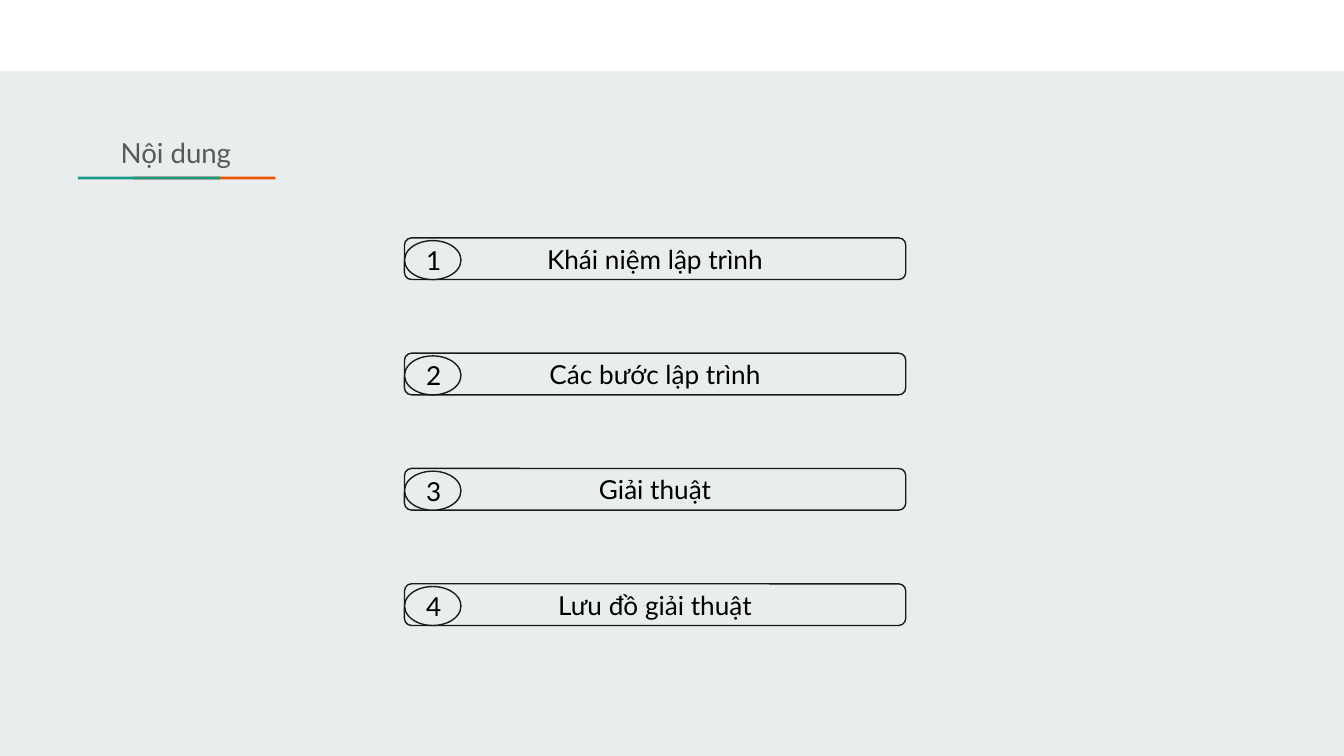
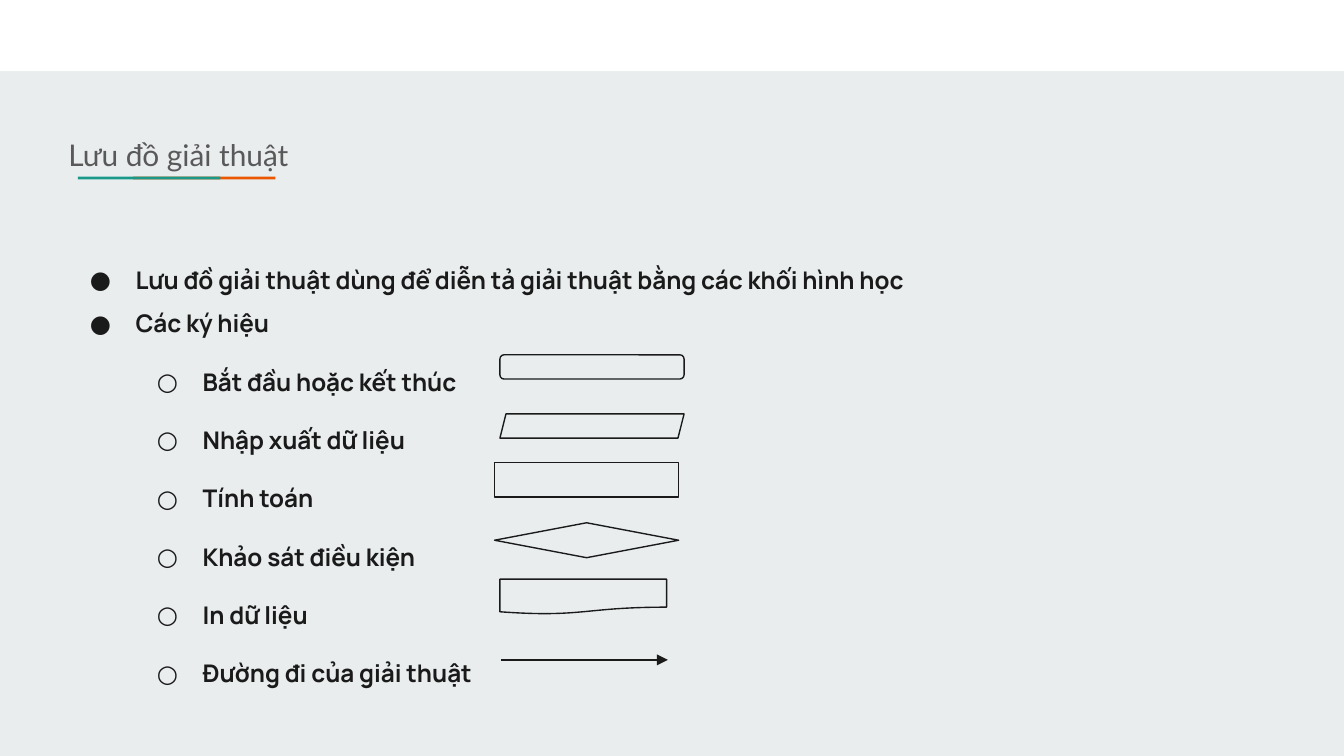
from dataclasses import dataclass

from lxml import etree
from pptx import Presentation
from pptx.dml.color import RGBColor
from pptx.enum.shapes import MSO_CONNECTOR, MSO_SHAPE
from pptx.enum.text import MSO_ANCHOR, PP_ALIGN
from pptx.oxml.ns import qn
from pptx.util import Inches, Pt

RECT, ROUND = MSO_SHAPE.RECTANGLE, MSO_SHAPE.ROUNDED_RECTANGLE
OVAL, DIAMOND = MSO_SHAPE.OVAL, MSO_SHAPE.DIAMOND
SLANTED, DOCUMENT = MSO_SHAPE.PARALLELOGRAM, MSO_SHAPE.FLOWCHART_DOCUMENT
STRAIGHT = MSO_CONNECTOR.STRAIGHT
LEFT, CENTER, JUSTIFY = PP_ALIGN.LEFT, PP_ALIGN.CENTER, PP_ALIGN.JUSTIFY
TOP, MIDDLE = MSO_ANCHOR.TOP, MSO_ANCHOR.MIDDLE
COLUMNS = 100


@dataclass(frozen=True)
class Theme:
    """Colours, fonts and type sizes of the deck."""
    paper: str = "E9EDEE"
    band: str = "FFFFFF"
    teal: str = "1A9988"
    orange: str = "EB5600"
    ink: str = "1A1A1A"
    label: str = "000000"
    title: str = "595959"
    font: str = "Lato"
    body_font: str = "Manrope"
    label_size: float = 14
    body_size: float = 13
    line_width: float = 0.75
    inset: float = 0.1


class Deck:
    """Draws styled elements on the current slide, measured in square grid cells."""

    def __init__(self, theme):
        self.theme = theme
        self.prs = Presentation()
        self.prs.slide_width = Inches(10)
        self.prs.slide_height = self.prs.slide_width * 9 // 16
        self.cell = self.prs.slide_width // COLUMNS
        self.s = None

    def grid(self, *cells):
        """Convert grid cells to lengths."""
        return [round(c * self.cell) for c in cells]

    def slide(self, title, box, size):
        """Start a slide with its band, title and underline."""
        t = self.theme
        self.s = self.prs.slides.add_slide(self.prs.slide_layouts[6])
        fill = self.s.background.fill
        fill.solid()
        fill.fore_color.rgb = RGBColor.from_string(t.paper)
        self.shape(RECT, (0, 0, COLUMNS, 5.3), t.band, outlined=False)
        for left, color in ((9.9, t.orange), (5.8, t.teal)):
            self.shape(RECT, (left, 13.15, 10.6, 0.2), color, outlined=False)
        sp = self.s.shapes.add_textbox(*self.grid(*box))
        self.set_text(sp.text_frame, [title], size, t.title, t.font, wrap=False)

    def shape(self, kind, box, fill=None, outlined=True, text=None, adj=None):
        """Add a preset shape, with a centred label if there is one."""
        t = self.theme
        sp = self.s.shapes.add_shape(kind, *self.grid(*box))
        sp.shadow.inherit = False
        sp.fill.solid()
        sp.fill.fore_color.rgb = RGBColor.from_string(fill or t.paper)
        if outlined:
            sp.line.color.rgb = RGBColor.from_string(t.ink)
            sp.line.width = Pt(t.line_width)
        else:
            sp.line.fill.background()
        if adj is not None:
            sp.adjustments[0] = adj
        if text:
            self.set_text(sp.text_frame, [text], t.label_size, t.label, t.font,
                          CENTER, MIDDLE)

    def set_text(self, tf, lines, size, color, font, align=LEFT, anchor=TOP,
                 bold=False, wrap=True):
        """Fill a text frame with one paragraph per line."""
        tf.word_wrap = wrap
        tf.vertical_anchor = anchor
        tf.margin_left = tf.margin_right = Inches(self.theme.inset)
        tf.margin_top = tf.margin_bottom = Inches(self.theme.inset)
        tf.text = "\n".join(lines)
        for p in tf.paragraphs:
            p.alignment = align
            for r in p.runs:
                r.font.size, r.font.name, r.font.bold = Pt(size), font, bold
                r.font.color.rgb = RGBColor.from_string(color)

    def bullets(self, box, items):
        """Add a two-level bulleted list from (level, text) pairs."""
        t = self.theme
        tf = self.s.shapes.add_textbox(*self.grid(*box)).text_frame
        self.set_text(tf, [text for _, text in items], t.body_size, t.ink,
                      t.body_font, JUSTIFY, MIDDLE, bold=True)
        for p, (level, _) in zip(tf.paragraphs, items):
            p.level = level
            p.line_spacing = (1.5, 2.0)[level]
            pPr = p._p.get_or_add_pPr()
            pPr.set("marL", str(Inches(0.5 * (level + 1))))
            pPr.set("indent", str(Inches(-0.34)))
            clr = etree.SubElement(pPr, qn("a:buClr"))
            etree.SubElement(clr, qn("a:srgbClr"), val=t.ink)
            etree.SubElement(pPr, qn("a:buFont"), typeface=t.body_font)
            etree.SubElement(pPr, qn("a:buChar"), char="●○"[level])

    def arrow(self, x1, y1, x2, y2):
        """Add a straight arrow."""
        c = self.s.shapes.add_connector(STRAIGHT, *self.grid(x1, y1, x2, y2))
        c.line.color.rgb = RGBColor.from_string(self.theme.ink)
        c.line.width = Pt(self.theme.line_width)
        spPr = c._element.spPr
        etree.SubElement(spPr.find(qn("a:ln")), qn("a:tailEnd"), type="triangle")
        etree.SubElement(spPr, qn("a:effectLst"))


def contents(deck):
    """Build the numbered contents slide."""
    deck.slide("Nội dung", (8, 9.1, 10.5, 5.9), 14.8)
    topics = ("Khái niệm lập trình", "Các bước lập trình", "Giải thuật",
              "Lưu đồ giải thuật")
    for i, topic in enumerate(topics):
        top = 17.7 + 8.58 * i
        deck.shape(ROUND, (30.1, top, 37.3, 3.1), text=topic, adj=0.17)
        deck.shape(OVAL, (30.1, top + 0.2, 4.2, 2.9), text=str(i + 1))


def flowchart(deck):
    """Build the slide of flowchart symbols."""
    symbols = (
        ("Bắt đầu hoặc kết thúc", ROUND, (37.2, 26.4, 13.7, 1.8), 0.17),
        ("Nhập xuất dữ liệu", SLANTED, (37.2, 30.8, 13.7, 1.8), 0.25),
        ("Tính toán", RECT, (36.8, 34.4, 13.7, 2.6), None),
        ("Khảo sát điều kiện", DIAMOND, (36.8, 38.9, 13.7, 2.6), None),
        ("In dữ liệu", DOCUMENT, (37.2, 43.1, 12.4, 2.6), None),
    )
    deck.slide("Lưu đồ giải thuật", (4.1, 9.2, 28.5, 5.9), 16)
    deck.bullets((4.1, 15.1, 92.8, 39.6), [
        (0, "Lưu đồ giải thuật dùng để diễn tả giải thuật bằng các khối hình học"),
        (0, "Các ký hiệu"),
        *((1, name) for name, *_ in symbols),
        (1, "Đường đi của giải thuật"),
    ])
    for _, kind, box, adj in symbols:
        deck.shape(kind, box, adj=adj)
    deck.arrow(37.3, 49.1, 49.7, 49.1)


def main():
    """Build and save the deck."""
    deck = Deck(Theme())
    contents(deck)
    flowchart(deck)
    deck.prs.save("out.pptx")


if __name__ == "__main__":
    main()
